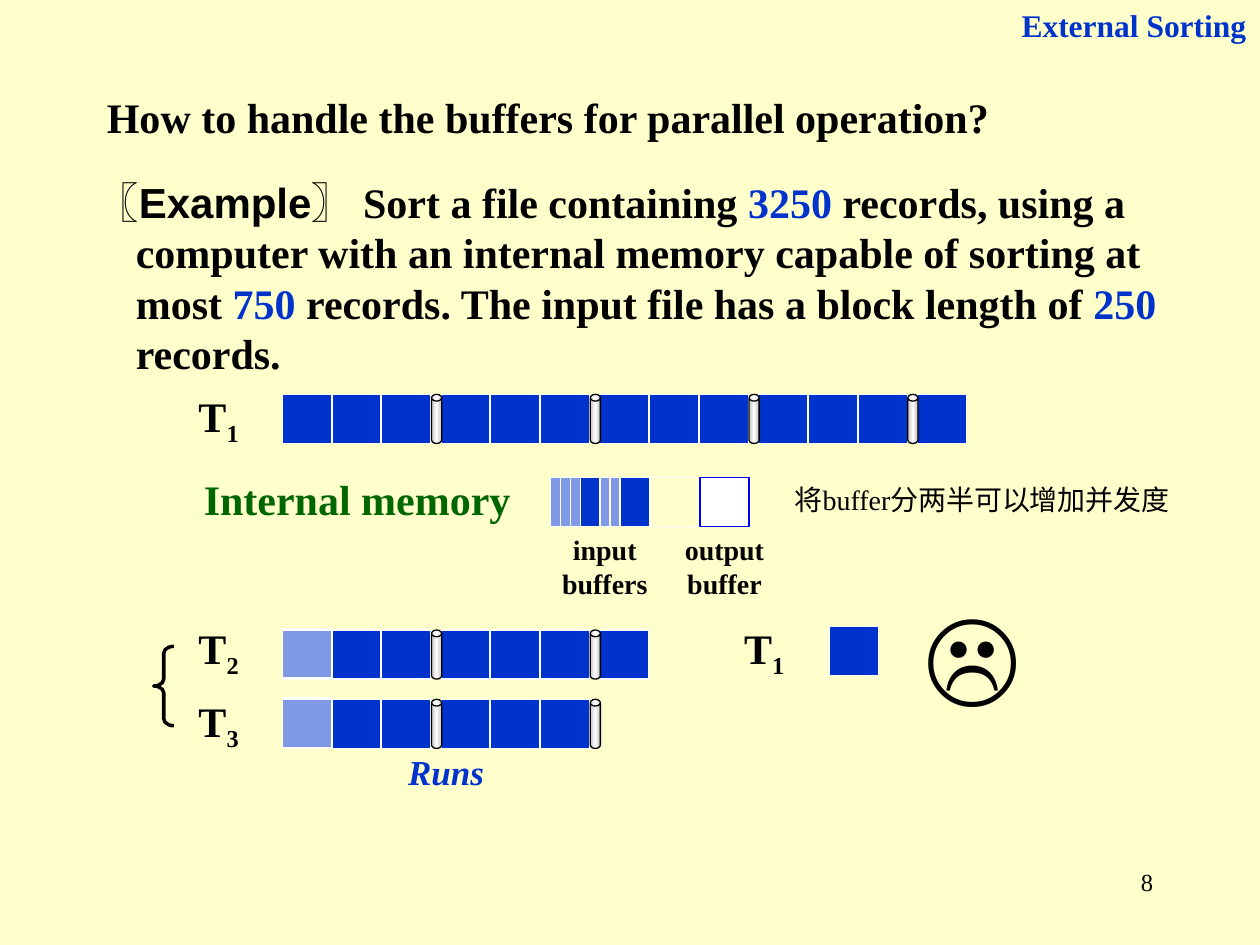
from dataclasses import dataclass
from typing import Optional

from lxml import etree
from pptx import Presentation
from pptx import util as u
from pptx.dml.color import RGBColor
from pptx.enum import shapes, text
from pptx.oxml import ns

BLUE, BLACK, WHITE = "0033CC", "000000", "FFFFFF"
CREAM, GREEN, GRAY = "FFFFCC", "006600", "C0C0C0"
SERIF, SANS, CJK = "Times New Roman", "Arial", "Noto Sans CJK SC"
SIDE, BAR, STEP = 0.39, 0.08, 0.395  # block size, divider width, block pitch
RUN = 1.26  # pitch of one run: three blocks and a divider
LEFT = 2.24
KIND = shapes.MSO_SHAPE
ALIGN = text.PP_ALIGN


@dataclass
class Run:
    words: str
    color: str = BLACK
    font: str = SERIF
    size: float = 24
    bold: bool = True
    italic: bool = False
    base: int = 0


@dataclass
class Label:
    box: tuple[float, float, float, float]
    runs: list[Run]
    align: text.PP_ALIGN = ALIGN.CENTER


@dataclass
class Tape:
    top: float
    blocks: int
    bars: int
    left: float = LEFT


prs = Presentation()
prs.slide_width, prs.slide_height = u.Inches(10), u.Inches(7.5)
slide = prs.slides.add_slide(prs.slide_layouts[6])


def rgb(code: str) -> RGBColor:
    return RGBColor.from_string(code)


def child(node, tag: str, **attrs: str):
    return etree.SubElement(node, ns.qn(tag), attrs)


def write(label: Label):
    """Add a text box, run by run, and return its paragraph."""
    box = slide.shapes.add_textbox(*map(u.Inches, label.box))
    frame = box.text_frame
    frame.word_wrap = True
    para = frame.paragraphs[0]
    para.alignment = label.align
    for item in label.runs:
        run = para.add_run()
        run.text = item.words
        font = run.font
        font.name, font.size = item.font, u.Pt(item.size)
        font.bold, font.italic = item.bold, item.italic
        font.color.rgb = rgb(item.color)
        props = font._element
        child(props, "a:ea", typeface=CJK)
        if item.base:
            props.set("baseline", str(item.base * 1000))
    return para


def draw(kind: KIND, left: float, top: float, wide: float, high: float,
         fill: Optional[str], line: str = WHITE, weight: float = 0.75):
    """Add a preset shape with a plain fill and outline."""
    shape = slide.shapes.add_shape(
        kind, *map(u.Inches, (left, top, wide, high)))
    shape.shadow.inherit = False
    if fill:
        shape.fill.solid()
        shape.fill.fore_color.rgb = rgb(fill)
    else:
        shape.fill.background()
    shape.line.color.rgb = rgb(line)
    shape.line.width = u.Pt(weight)
    return shape


def block(left: float, top: float, fill: str = BLUE, line: str = WHITE) -> None:
    draw(KIND.RECTANGLE, left, top, SIDE, SIDE, fill, line)


def veil(left: float, top: float, wide: float) -> None:
    """Fade what has already been read with half-clear white."""
    shape = draw(KIND.RECTANGLE, left, top, wide, SIDE, WHITE)
    color = shape.fill._xPr.find(ns.qn("a:solidFill"))[0]
    child(color, "a:alpha", val="50000")


def can(left: float, top: float) -> None:
    """Draw the divider that ends a run."""
    shape = draw(KIND.CAN, left, top, BAR, SIDE, WHITE, BLACK)
    shape.adjustments[0] = 0.67
    props = shape._element.spPr
    solid = props.find(ns.qn("a:solidFill"))
    grad = etree.Element(ns.qn("a:gradFill"))
    stops = child(grad, "a:gsLst")
    for pos, code in ((0, GRAY), (50, WHITE), (100, GRAY)):
        stop = child(stops, "a:gs", pos=str(pos * 1000))
        child(stop, "a:srgbClr", val=code)
    child(grad, "a:lin", ang="0", scaled="1")
    props.replace(solid, grad)


def lay(tape: Tape) -> None:
    """Lay out the blocks in runs of three, then the dividers."""
    for i in range(tape.blocks):
        group, spot = divmod(i, 3)
        block(tape.left + group * RUN + spot * STEP, tape.top)
    for i in range(tape.bars):
        can(tape.left + 1.185 + i * RUN, tape.top)


def name(left: float, top: float, digit: str) -> None:
    write(Label((left, top, 0.71, 0.5), [Run("T"), Run(digit, base=-25)]))


# Background
slide.background.fill.solid()
slide.background.fill.fore_color.rgb = rgb(CREAM)

# Headings and page number
LABELS = [
    Label((7.17, 6.83, 2.08, 0.5), [Run("8", size=14, bold=False)], ALIGN.RIGHT),
    Label((7.6, 0, 2.39, 0.4), [Run("External Sorting", BLUE, size=18)],
          ALIGN.RIGHT),
    Label((0.75, 0.68, 8.43, 0.5),
          [Run("How to handle the buffers for parallel operation?")], ALIGN.LEFT),
    Label((1.3, 3.71, 3.07, 0.5), [Run("Internal memory", GREEN)]),
    Label((3.03, 5.91, 1.02, 0.43), [Run("Runs", BLUE, size=20, italic=True)]),
    Label((4.21, 4.18, 1.18, 0.64), [Run("input buffers", size=16)]),
    Label((5.16, 4.18, 1.18, 0.64), [Run("output buffer", size=16)]),
    Label((7.13, 4.62, 1.18, 1.1), [Run("☹", size=60, bold=False)]),
    Label((6.21, 3.78, 3.33, 0.37),
          [Run("将buffer分两半可以增加并发度", size=16, bold=False)], ALIGN.LEFT),
]
for label in LABELS:
    write(label)

# Example
task = write(Label((0.67, 1.35, 9.06, 1.7), [
    Run("〖", font=CJK), Run("Example", font=SANS), Run("〗 ", font=CJK),
    Run("Sort a file containing "), Run("3250", BLUE),
    Run(" records, using a computer with an internal memory capable of "
        "sorting at most "),
    Run("750", BLUE), Run(" records. The input file has a block length of "),
    Run("250", BLUE), Run(" records."),
], ALIGN.LEFT))
task.line_spacing = u.Pt(28.8)
indent = u.Inches(0.31)
task._p.get_or_add_pPr().set("marL", str(indent))
task._p.get_or_add_pPr().set("indent", str(-indent))

# Tapes
for left, top, digit in ((1.38, 3.05, "1"), (1.38, 4.89, "2"),
                         (1.38, 5.47, "3"), (5.71, 4.89, "1")):
    name(left, top, digit)
for tape in (Tape(3.13, 13, 4), Tape(5, 7, 2), Tape(5.55, 6, 2),
             Tape(4.97, 1, 0, 6.58)):
    lay(tape)
for top in (4.99, 5.54):
    veil(LEFT, top, SIDE)
brace = draw(KIND.LEFT_BRACE, 1.22, 5.13, 0.16, 0.63, None, BLACK, 2)
brace.adjustments[0] = 0.34

# Internal memory: two input buffers, a spare one and the output buffer
MEM = 3.79
for i, (fill, line) in enumerate(((BLUE, WHITE), (BLUE, WHITE),
                                  (CREAM, WHITE), (WHITE, "0000FF"))):
    block(4.37 + i * STEP, MEM, fill, line)
for start, count in ((4.37, 3), (4.76, 2)):
    for i in range(count):
        veil(start + i * BAR, MEM, BAR)

prs.save("out.pptx")
